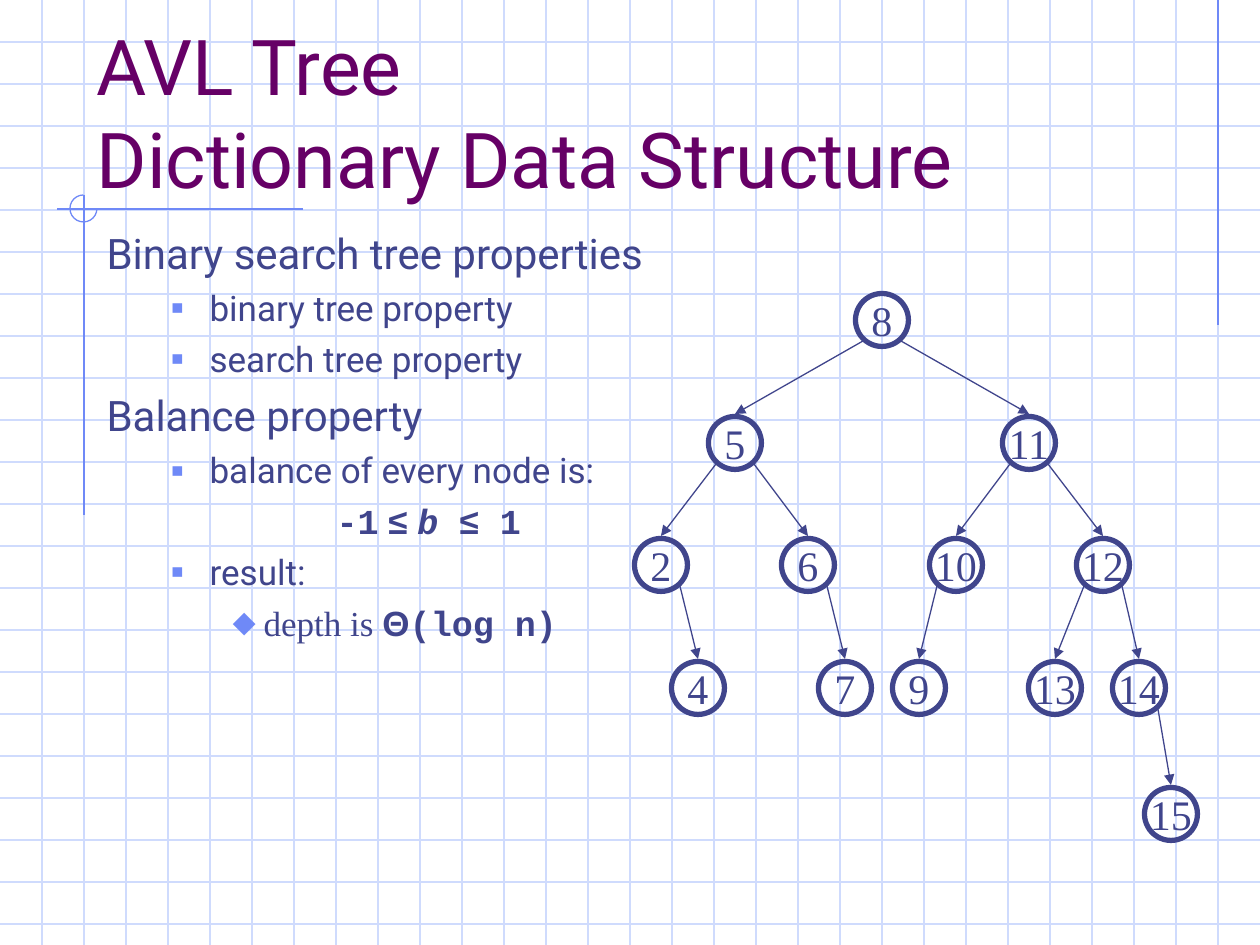
from lxml import etree
from pptx import Presentation
from pptx.dml.color import RGBColor
from pptx.enum.shapes import MSO_CONNECTOR, MSO_SHAPE
from pptx.enum.text import MSO_ANCHOR, MSO_AUTO_SIZE, PP_ALIGN
from pptx.oxml.ns import qn
from pptx.util import Emu, Pt

STRAIGHT = MSO_CONNECTOR.STRAIGHT
ELLIPSE, ARC = MSO_SHAPE.OVAL, MSO_SHAPE.ARC
MIDDLE, BOTTOM, TOP = MSO_ANCHOR.MIDDLE, MSO_ANCHOR.BOTTOM, MSO_ANCHOR.TOP
CENTER, LEFT = PP_ALIGN.CENTER, PP_ALIGN.LEFT
NO_AUTOFIT = MSO_AUTO_SIZE.NONE

PX_PER_INCH = 126
WIDTH, HEIGHT = 1260, 945
GRID_STEP, NODE_SIZE = 42, 53
GRID, ACCENT, INK, PLUM = "CFDBFD", "6F89F7", "40458C", "660066"
SANS, SERIF, MONO, SYMBOL = "Roboto", "Times New Roman", "Courier New", "Arial"

TITLE_LINES = ["AVL Tree", "Dictionary Data Structure"]

# Paragraph styles: level, left margin px, first-line indent px, size, space before, bullet, bullet size %
STYLES = {
    "heading": (0, 0, 0, 24, 6, None, None),
    "item": (1, 103, -39, 20, 5, "▪", 110),
    "formula": (1, 230, 0, 20, 5, None, None),
    "detail": (2, 157, -31, 20, 5, "⬥", 95),
}
# Runs: text, font, bold, italic
BODY = [
    ("heading", [("Binary search tree properties", SANS, False, False)]),
    ("item", [("binary tree property", SANS, False, False)]),
    ("item", [("search tree property", SANS, False, False)]),
    ("heading", [("Balance property", SANS, False, False)]),
    ("item", [("balance of every node is:", SANS, False, False)]),
    ("formula", [("-1", MONO, True, False), (" ≤ ", SYMBOL, True, False),
                 ("b ", MONO, True, True), ("≤", SYMBOL, True, False),
                 (" 1", MONO, True, False)]),
    ("item", [("result:", SANS, False, False)]),
    ("detail", [("depth is ", SERIF, False, False), ("Θ", SYMBOL, True, False),
                ("(log n)", MONO, True, False)]),
]

# Tree: key -> centre x; rows give the centre y
TREE_ROWS = [
    (320, {8: 882}),
    (443, {5: 735, 11: 1029}),
    (565, {2: 661, 6: 808, 10: 956, 12: 1103}),
    (688, {4: 698, 7: 845, 9: 919, 13: 1055, 14: 1139}),
    (814, {15: 1171}),
]
EDGES = [(8, 5), (8, 11), (5, 2), (5, 6), (11, 10), (11, 12), (2, 4),
         (6, 7), (10, 9), (12, 13), (12, 14), (14, 15)]
EDGE_START_X, EDGE_START_Y, EDGE_END_Y = 19, 21, -29


def px(value):
    return Emu(round(value * 914400 / PX_PER_INCH))


def color(value):
    return RGBColor.from_string(value)


def place(shape, left, top, width, height):
    shape.left, shape.top, shape.width, shape.height = map(px, (left, top, width, height))


def add_run(paragraph, text, font, size, ink, bold=False, italic=False):
    run = paragraph.add_run()
    run.text = text
    run.font.name, run.font.size = font, Pt(size)
    run.font.bold, run.font.italic = bold, italic
    run.font.color.rgb = color(ink)


def add_line(shapes, x1, y1, x2, y2, ink, arrow=False):
    line = shapes.add_connector(STRAIGHT, px(x1), px(y1), px(x2), px(y2))
    line.line.color.rgb = color(ink)
    line.line.width = Pt(0.75)
    if arrow:
        etree.SubElement(line.line._get_or_add_ln(), qn("a:tailEnd"), type="triangle")
    etree.SubElement(line._element.spPr, qn("a:effectLst"))


def add_outline(shapes, kind, left, top, size, ink, weight):
    shape = shapes.add_shape(kind, px(left), px(top), px(size), px(size))
    shape.shadow.inherit = False
    shape.fill.background()
    shape.line.color.rgb = color(ink)
    shape.line.width = Pt(weight)
    return shape


def set_bullet(paragraph, margin, indent, bullet, percent):
    properties = paragraph._p.get_or_add_pPr()
    properties.set("marL", str(px(margin)))
    properties.set("indent", str(px(indent)))
    if bullet is None:
        etree.SubElement(properties, qn("a:buNone"))
        return
    bullet_color = etree.SubElement(properties, qn("a:buClr"))
    etree.SubElement(bullet_color, qn("a:srgbClr"), val=ACCENT)
    etree.SubElement(properties, qn("a:buSzPct"), val=str(percent * 1000))
    etree.SubElement(properties, qn("a:buChar"), char=bullet)


def add_background(slide):
    shapes = slide.shapes.add_group_shape().shapes
    for y in range(GRID_STEP, HEIGHT, GRID_STEP):
        add_line(shapes, 0, y, WIDTH, y, GRID)
    for x in range(GRID_STEP, WIDTH, GRID_STEP):
        add_line(shapes, x, 0, x, HEIGHT, GRID)
    # Accent lines and the three-quarter circle at their crossing
    add_line(shapes, 1218, 0, 1218, 325, ACCENT)
    add_line(shapes, 303, 209, 57, 209, ACCENT)
    add_line(shapes, 84, 195, 84, 515, ACCENT)
    arc = add_outline(shapes, ARC, 70, 195, 27, ACCENT, 0.75)
    arc.adjustments[0], arc.adjustments[1] = 0, 162


def fill_title(title):
    place(title, 84, 53, 1071, 157)
    frame = title.text_frame
    frame.auto_size, frame.vertical_anchor = NO_AUTOFIT, BOTTOM
    paragraph = frame.paragraphs[0]
    paragraph.alignment = LEFT
    for index, text in enumerate(TITLE_LINES):
        if index:
            paragraph.add_line_break()
        add_run(paragraph, text, SANS, 44, PLUM)


def fill_body(body):
    place(body, 94, 221, 578, 567)
    frame = body.text_frame
    frame.auto_size, frame.vertical_anchor = NO_AUTOFIT, TOP
    for index, (style, runs) in enumerate(BODY):
        level, margin, indent, size, before, bullet, percent = STYLES[style]
        paragraph = frame.add_paragraph() if index else frame.paragraphs[0]
        set_bullet(paragraph, margin, indent, bullet, percent)
        paragraph.level = level
        paragraph.space_before = Pt(before if index else 0)
        for text, font, bold, italic in runs:
            add_run(paragraph, text, font, size, INK, bold, italic)


def add_tree(shapes):
    centers = {key: (x, y) for y, row in TREE_ROWS for key, x in row.items()}
    for key, (x, y) in centers.items():
        node = add_outline(shapes, ELLIPSE, x - NODE_SIZE / 2, y - NODE_SIZE / 2,
                           NODE_SIZE, INK, 3)
        frame = node.text_frame
        frame.word_wrap, frame.vertical_anchor = False, MIDDLE
        frame.paragraphs[0].alignment = CENTER
        add_run(frame.paragraphs[0], str(key), SERIF, 24, INK)
    for parent, child in EDGES:
        (x1, y1), (x2, y2) = centers[parent], centers[child]
        side = EDGE_START_X if x2 > x1 else -EDGE_START_X
        add_line(shapes, x1 + side, y1 + EDGE_START_Y, x2, y2 + EDGE_END_Y, INK, arrow=True)


def main():
    presentation = Presentation()
    presentation.slide_width, presentation.slide_height = px(WIDTH), px(HEIGHT)
    slide = presentation.slides.add_slide(presentation.slide_layouts[1])
    slide.background.fill.solid()
    slide.background.fill.fore_color.rgb = color("FFFFFF")
    title, body = slide.shapes.title, slide.placeholders[1]
    add_background(slide)
    # Bring the placeholders in front of the grid
    for placeholder in (title, body):
        slide.shapes._spTree.append(placeholder._element)
    fill_title(title)
    fill_body(body)
    add_tree(slide.shapes)
    presentation.save("out.pptx")


if __name__ == "__main__":
    main()
